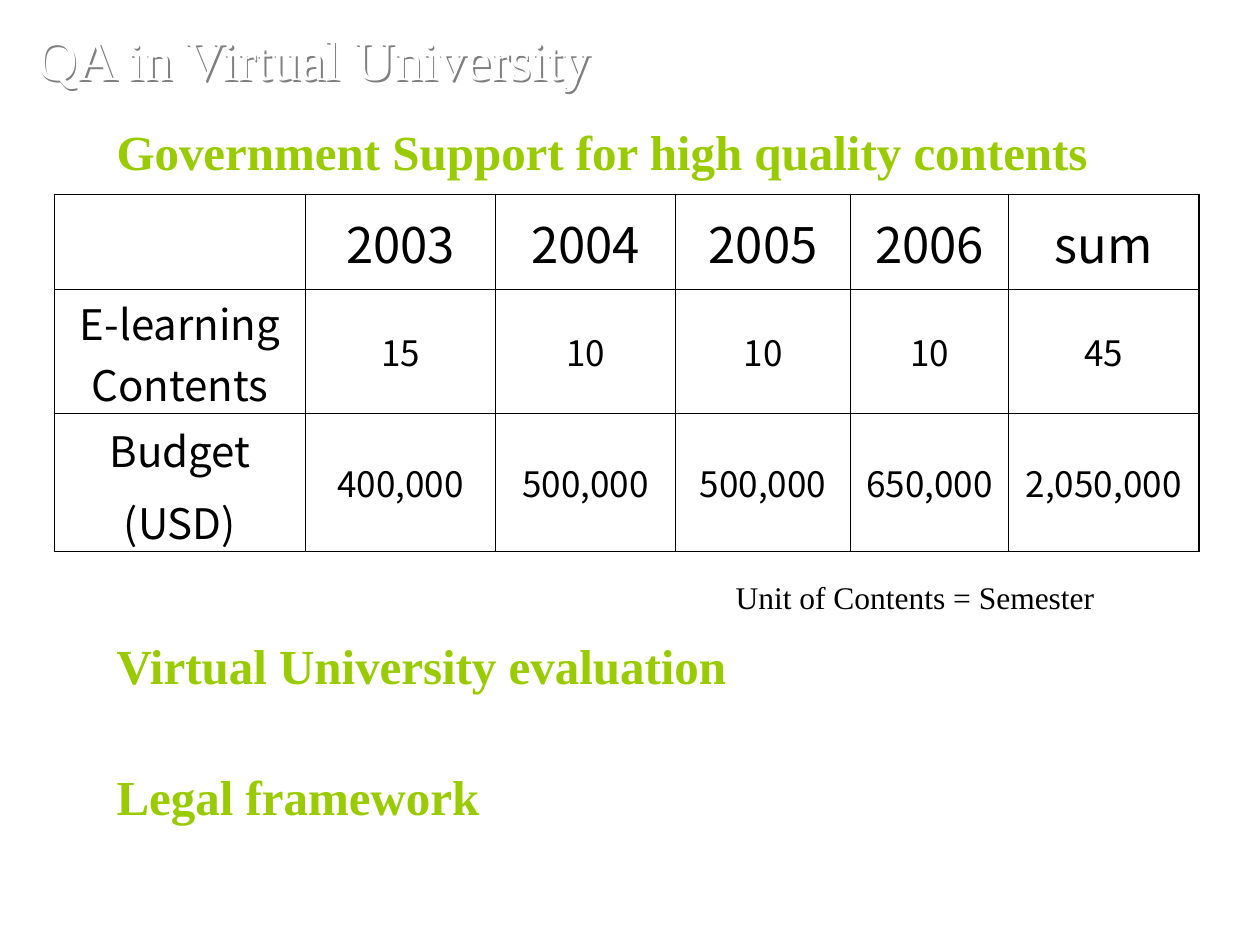
from dataclasses import dataclass

from lxml import etree
from pptx import Presentation
from pptx import util as u
from pptx.dml.color import RGBColor
from pptx.enum import text
from pptx.oxml import ns

BLACK = RGBColor(0, 0, 0)
WHITE = RGBColor(255, 255, 255)
GREEN = RGBColor(0x99, 0xCC, 0)
GRAY = RGBColor(0x80, 0x80, 0x80)
SERIF = "Times New Roman"
SANS = "Noto Sans CJK KR"
THIN, THICK = u.Pt(0.45), u.Pt(1.08)


@dataclass
class Caption:
    words: str
    left: float
    top: float
    width: float
    height: float
    size: int
    color: RGBColor
    bold: bool = False
    shadow: bool = False
    anchor: text.MSO_ANCHOR = text.MSO_ANCHOR.TOP


def write(frame, words: str, *, size: int, font: str = SERIF,
          color: RGBColor = BLACK, bold: bool = False, align=None,
          gap: float = 0) -> None:
    """Fill a text frame, one paragraph for each line of words."""
    for index, line in enumerate(words.split("\n")):
        paragraph = frame.add_paragraph() if index else frame.paragraphs[0]
        paragraph.alignment = align
        if index:
            paragraph.space_before = u.Pt(gap)
        run = paragraph.add_run()
        run.text = line
        run.font.size = u.Pt(size)
        run.font.bold = bold
        run.font.color.rgb = color
        run.font.name = font


def add_shadow(box) -> None:
    """Cast a shadow from the letters of an unfilled box."""
    box.fill.background()
    effects = etree.SubElement(box._element.spPr, ns.qn("a:effectLst"))
    outer = etree.SubElement(effects, ns.qn("a:outerShdw"),
                             dist=str(u.Cm(0.05)), dir="2700000")
    etree.SubElement(outer, ns.qn("a:srgbClr"), val=str(GRAY))


def draw_caption(slide, caption: Caption) -> None:
    box = slide.shapes.add_textbox(u.Cm(caption.left), u.Cm(caption.top),
                                   u.Cm(caption.width), u.Cm(caption.height))
    if caption.shadow:
        add_shadow(box)
    frame = box.text_frame
    frame.word_wrap = True
    frame.vertical_anchor = caption.anchor
    write(frame, caption.words, size=caption.size, color=caption.color,
          bold=caption.bold)


def set_borders(cell, widths: dict[str, int]) -> None:
    properties = cell._tc.get_or_add_tcPr()
    for index, (side, width) in enumerate(widths.items()):
        line = etree.Element(ns.qn(f"a:{side}"), w=str(width))
        fill = etree.SubElement(line, ns.qn("a:solidFill"))
        etree.SubElement(fill, ns.qn("a:srgbClr"), val=str(BLACK))
        properties.insert(index, line)


def draw_support_table(slide, rows: list[list[str]]) -> None:
    widths = [5.06, 3.83, 3.63, 3.53, 3.18, 3.84]
    heights = [1.91, 2.5, 2.78]
    table = slide.shapes.add_table(len(rows), len(widths), u.Cm(1.1), u.Cm(3.92),
                                   u.Cm(sum(widths)), u.Cm(sum(heights))).table
    table.first_row = table.horz_banding = False
    for column, width in zip(table.columns, widths):
        column.width = u.Cm(width)
    for row, height in zip(table.rows, heights):
        row.height = u.Cm(height)

    last_row, last_column = len(rows) - 1, len(widths) - 1
    for r, row in enumerate(rows):
        for c, words in enumerate(row):
            cell = table.cell(r, c)
            cell.fill.background()
            cell.vertical_anchor = text.MSO_ANCHOR.MIDDLE
            if c == 0:
                cell.vertical_anchor = text.MSO_ANCHOR.BOTTOM
                cell.margin_top, cell.margin_bottom = u.Cm(0.05), 0
            if words:
                size = 28 if r == 0 else 24 if c == 0 else 20
                write(cell.text_frame, words, size=size, font=SANS,
                      align=text.PP_ALIGN.CENTER, gap=6)
            set_borders(cell, {
                "lnL": THICK if c == 0 else THIN,
                "lnR": THICK if c == last_column else THIN,
                "lnT": THICK if r == 0 else THIN,
                "lnB": THICK if r == last_row else THIN,
            })


def main() -> None:
    deck = Presentation()
    deck.slide_width, deck.slide_height = u.Cm(25.4), u.Cm(19.05)
    slide = deck.slides.add_slide(deck.slide_layouts[6])

    # Contents and budget by year
    draw_support_table(slide, [
        ["", "2003", "2004", "2005", "2006", "sum"],
        ["E-learning Contents", "15", "10", "10", "10", "45"],
        ["Budget\n(USD)", "400,000", "500,000", "500,000", "650,000", "2,050,000"],
    ])

    # Table note and slide title
    draw_caption(slide, Caption("Unit of Contents = Semester",
                                14.58, 11.53, 9.53, 1.02, 18, BLACK))
    draw_caption(slide, Caption("QA in Virtual University", 0.5, 0.33, 14.38, 1.7,
                                32, WHITE, shadow=True,
                                anchor=text.MSO_ANCHOR.MIDDLE))

    # Section headings
    for heading, top in [("Government Support for high quality contents", 2.32),
                         ("Virtual University evaluation", 12.68),
                         ("Legal framework", 15.32)]:
        draw_caption(slide, Caption(heading, 2.1, top, 21.41, 1.45,
                                    28, GREEN, bold=True))

    deck.save("out.pptx")


if __name__ == "__main__":
    main()
